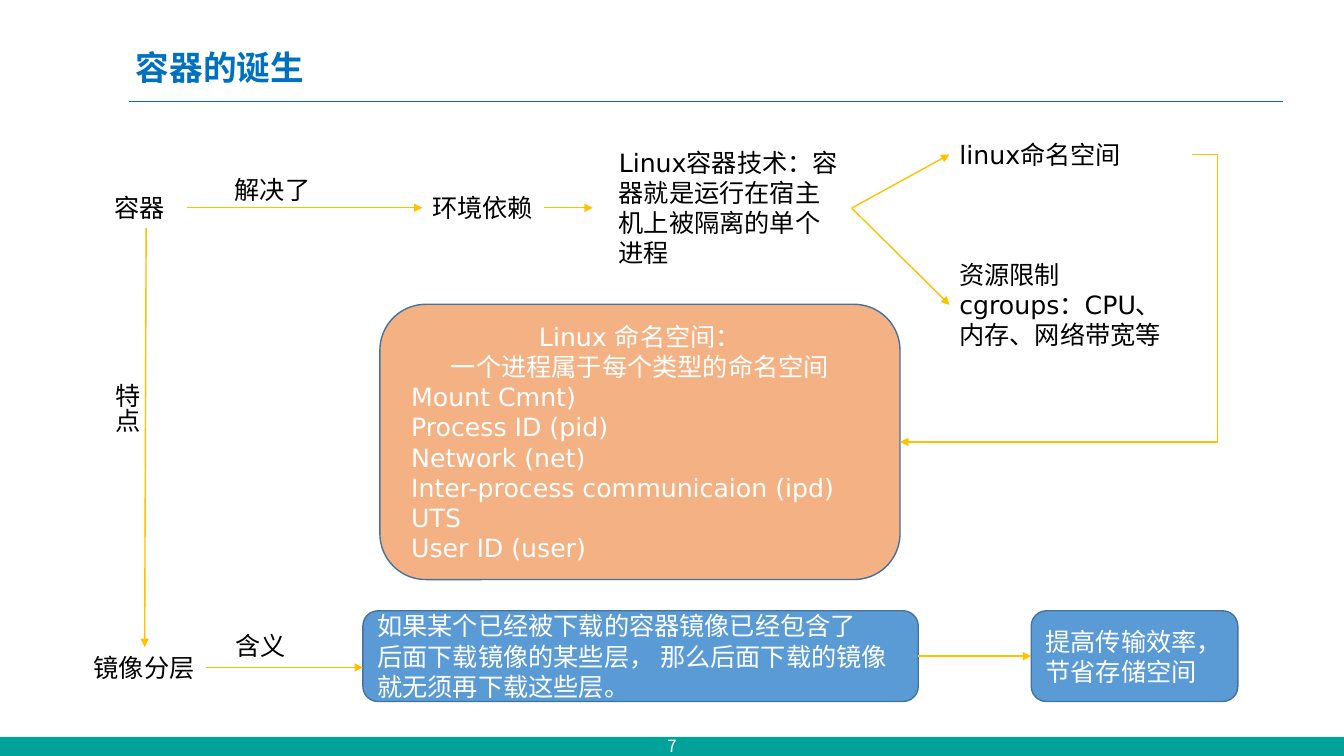
"""Build the slide on how containers came about."""
from dataclasses import dataclass

from lxml import etree
from pptx import Presentation
from pptx.dml.color import RGBColor
from pptx.enum.shapes import MSO_CONNECTOR, MSO_SHAPE
from pptx.enum.text import MSO_ANCHOR, MSO_AUTO_SIZE, PP_ALIGN
from pptx.oxml.ns import qn
from pptx.shapes.autoshape import Shape
from pptx.shapes.connector import Connector
from pptx.slide import Slide
from pptx.util import Pt

STRAIGHT, ELBOW = MSO_CONNECTOR.STRAIGHT, MSO_CONNECTOR.ELBOW
RECTANGLE, ROUNDED = MSO_SHAPE.RECTANGLE, MSO_SHAPE.ROUNDED_RECTANGLE
TOP, MIDDLE = MSO_ANCHOR.TOP, MSO_ANCHOR.MIDDLE
LEFT, CENTER = PP_ALIGN.LEFT, PP_ALIGN.CENTER
GROW = MSO_AUTO_SIZE.SHAPE_TO_FIT_TEXT
SIDE_TOP, SIDE_LEFT, SIDE_BOTTOM, SIDE_RIGHT = range(4)


@dataclass(frozen=True)
class Theme:
    """Colours, fonts and sizes of the slide."""
    title: str = "0070C0"
    footer: str = "00A29A"
    arrow: str = "FFC000"
    outline: str = "43739E"
    namespace: str = "F4B183"
    layer: str = "5B9BD5"
    dark: str = "000000"
    light: str = "FFFFFF"
    latin_font: str = "DejaVu Sans"
    asian_font: str = "Noto Sans CJK SC"
    title_size: float = 24
    body_size: float = 18
    number_size: float = 12


THEME = Theme()


@dataclass(frozen=True)
class Box:
    """A rectangle in points."""
    left: float
    top: float
    width: float
    height: float


@dataclass(frozen=True)
class Label:
    """A plain text on the diagram."""
    name: str
    text: str
    box: Box
    wrap: bool = True
    vertical: bool = False


@dataclass(frozen=True)
class Line:
    """A paragraph with its alignment and indent."""
    text: str
    align: PP_ALIGN = LEFT
    indent: float = 0


@dataclass(frozen=True)
class Panel:
    """A filled rounded box with text."""
    name: str
    lines: tuple[Line, ...]
    box: Box
    fill: str


@dataclass(frozen=True)
class Joint:
    """The middle of one side of a named element."""
    name: str
    side: int


@dataclass(frozen=True)
class Point:
    """A free place in points."""
    x: float
    y: float


@dataclass(frozen=True)
class Arrow:
    """An arrow between two ends."""
    begin: Joint | Point
    end: Joint | Point
    kind: MSO_CONNECTOR = STRAIGHT


LABELS = (
    Label("container", "容器", Box(74.9, 133.9, 59, 29.1)),
    Label("environment", "环境依赖", Box(301.7, 133.9, 87.1, 29.1), wrap=False),
    Label("layers", "镜像分层", Box(59.8, 462.2, 87.1, 29.1), wrap=False),
    Label("technology", "Linux容器技术：容器就是运行在宿主机上被隔离的单个进程",
          Box(434.9, 101.5, 173.5, 94.3)),
    Label("cgroups", "资源限制cgroups：CPU、内存、网络带宽等", Box(678.2, 181.4, 173.5, 72.7)),
    Label("namespaces", "linux命名空间", Box(678.2, 95.8, 173.5, 29.1)),
    Label("solves", "解决了", Box(160.6, 121, 78.5, 29.1)),
    Label("feature", "特点", Box(69.1, 266.4, 36, 67.7), vertical=True),
    Label("meaning", "含义", Box(161.3, 446.4, 69.1, 29.1)),
)
NAMESPACE_TYPES = ("Mount Cmnt)", "Process ID (pid)", "Network (net)",
                   "Inter-process communicaion (ipd)", "UTS", "User ID (user)")
PANELS = (
    Panel("namespace types",
          (Line("Linux 命名空间：", CENTER), Line("一个进程属于每个类型的命名空间", CENTER),
           *(Line(text, indent=5.7) for text in NAMESPACE_TYPES)),
          Box(271.4, 217.4, 371.5, 196.6), THEME.namespace),
    Panel("reuse",
          (Line("如果某个已经被下载的容器镜像已经包含了"),
           Line("后面下载镜像的某些层， 那么后面下载的镜像就无须再下载这些层。")),
          Box(259.2, 436.3, 396.7, 64.8), THEME.layer),
    Panel("benefit", (Line("提高传输效率，节省存储空间"),),
          Box(736.6, 436.3, 147.6, 64.8), THEME.layer),
)
ARROWS = (
    Arrow(Joint("container", SIDE_RIGHT), Joint("environment", SIDE_LEFT)),
    Arrow(Joint("environment", SIDE_RIGHT), Point(423.4, 148.45)),
    Arrow(Joint("technology", SIDE_RIGHT), Joint("namespaces", SIDE_LEFT)),
    Arrow(Joint("technology", SIDE_RIGHT), Joint("cgroups", SIDE_LEFT)),
    Arrow(Joint("namespaces", SIDE_RIGHT), Joint("namespace types", SIDE_RIGHT), ELBOW),
    Arrow(Joint("container", SIDE_BOTTOM), Joint("layers", SIDE_TOP)),
    Arrow(Joint("layers", SIDE_RIGHT), Point(259.2, 476.75)),
    Arrow(Joint("reuse", SIDE_RIGHT), Joint("benefit", SIDE_LEFT)),
)
ELBOW_BEND = -8600


def frame(box: Box) -> tuple[Pt, ...]:
    """Return the box as lengths."""
    return Pt(box.left), Pt(box.top), Pt(box.width), Pt(box.height)


def write_text(shape: Shape, *lines: Line, color: str = THEME.dark,
               size: float = THEME.body_size, font: str = THEME.latin_font,
               bold: bool = False, anchor: MSO_ANCHOR = TOP, wrap: bool = True,
               spacing: float | None = None) -> None:
    """Write the lines into the shape with one format."""
    text_frame = shape.text_frame
    text_frame.word_wrap = wrap
    text_frame.vertical_anchor = anchor
    for index, line in enumerate(lines):
        paragraph = text_frame.add_paragraph() if index else text_frame.paragraphs[0]
        paragraph.alignment = line.align
        paragraph.line_spacing = spacing
        if line.indent:
            paragraph._p.get_or_add_pPr().set("marL", str(Pt(line.indent)))
        run = paragraph.add_run()
        run.text = line.text
        run.font.size = Pt(size)
        run.font.bold = bold
        run.font.color.rgb = RGBColor.from_string(color)
        run.font.name = font
        etree.SubElement(run._r.rPr, qn("a:ea"), typeface=THEME.asian_font)


def add_filled(slide: Slide, kind: MSO_SHAPE, box: Box, fill: str) -> Shape:
    """Add a filled shape without outline or shadow."""
    shape = slide.shapes.add_shape(kind, *frame(box))
    shape.shadow.inherit = False
    shape.fill.solid()
    shape.fill.fore_color.rgb = RGBColor.from_string(fill)
    shape.line.fill.background()
    return shape


def add_label(slide: Slide, label: Label) -> Shape:
    """Add a plain label."""
    shape = slide.shapes.add_textbox(*frame(label.box))
    write_text(shape, Line(label.text), wrap=label.wrap)
    shape.text_frame.auto_size = GROW
    if label.vertical:
        shape.text_frame._txBody.bodyPr.set("vert", "eaVert")
    return shape


def add_panel(slide: Slide, panel: Panel) -> Shape:
    """Add an outlined rounded panel."""
    shape = add_filled(slide, ROUNDED, panel.box, panel.fill)
    shape.line.color.rgb = RGBColor.from_string(THEME.outline)
    shape.line.width = Pt(1)
    write_text(shape, *panel.lines, color=THEME.light, anchor=MIDDLE)
    return shape


def add_line(slide: Slide, kind: MSO_CONNECTOR, begin: Point, end: Point, color: str) -> Connector:
    """Add a thin line without shadow."""
    connector = slide.shapes.add_connector(kind, Pt(begin.x), Pt(begin.y), Pt(end.x), Pt(end.y))
    connector.line.color.rgb = RGBColor.from_string(color)
    connector.line.width = Pt(1)
    etree.SubElement(connector._element.spPr, qn("a:effectLst"))
    return connector


def add_arrow(slide: Slide, arrow: Arrow, elements: dict[str, Shape]) -> None:
    """Add an arrow and join its ends to their elements."""
    begin, end = (place if isinstance(place, Point) else Point(0, 0)
                  for place in (arrow.begin, arrow.end))
    connector = add_line(slide, arrow.kind, begin, end, THEME.arrow)
    if isinstance(arrow.begin, Joint):
        connector.begin_connect(elements[arrow.begin.name], arrow.begin.side)
    if isinstance(arrow.end, Joint):
        connector.end_connect(elements[arrow.end.name], arrow.end.side)
    etree.SubElement(connector.line._get_or_add_ln(), qn("a:tailEnd"), type="triangle")
    if arrow.kind == ELBOW:
        guides = connector._element.spPr.find(qn("a:prstGeom")).find(qn("a:avLst"))
        etree.SubElement(guides, qn("a:gd"), name="adj1", fmla=f"val {ELBOW_BEND}")


def main() -> None:
    """Build and save the presentation."""
    presentation = Presentation()
    presentation.slide_width, presentation.slide_height = Pt(960), Pt(540)
    slide = presentation.slides.add_slide(presentation.slide_layouts[6])
    add_filled(slide, RECTANGLE, Box(0, 526.3, 960, 13.7), THEME.footer)
    add_line(slide, STRAIGHT, Point(92.2, 72.6), Point(916.6, 72.6), THEME.title)
    title = slide.shapes.add_textbox(*frame(Box(90, 27.4, 826.6, 43.9)))
    write_text(title, Line("容器的诞生"), color=THEME.title, size=THEME.title_size,
               bold=True, anchor=MIDDLE, spacing=0.9)
    number = slide.shapes.add_textbox(*frame(Box(0, 524.9, 960, 15.1)))
    write_text(number, Line("7", CENTER), color=THEME.light, size=THEME.number_size,
               font=THEME.asian_font, anchor=MIDDLE)
    elements = {label.name: add_label(slide, label) for label in LABELS}
    elements |= {panel.name: add_panel(slide, panel) for panel in PANELS}
    for arrow in ARROWS:
        add_arrow(slide, arrow, elements)
    presentation.save("out.pptx")


if __name__ == "__main__":
    main()
